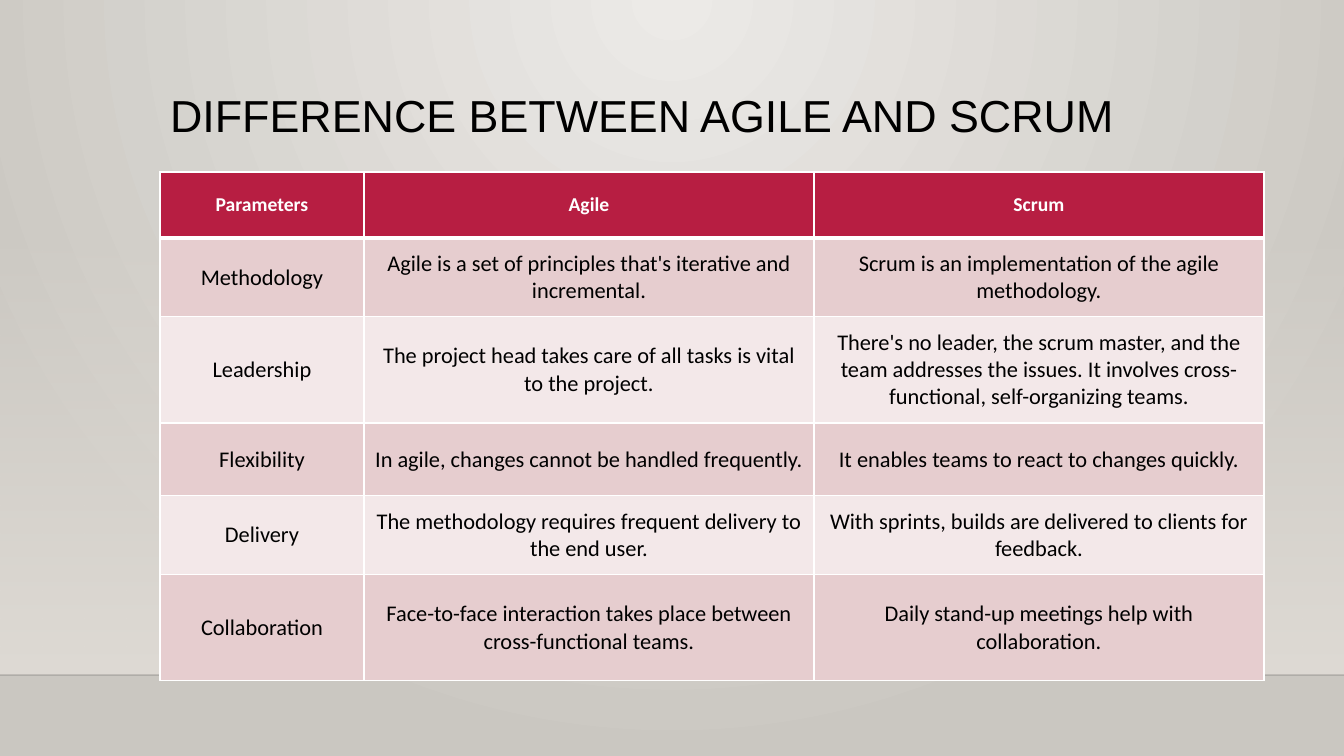
from lxml import etree
from pptx import Presentation
from pptx import util as u
from pptx.dml.color import RGBColor
from pptx.enum import shapes, text
from pptx.oxml import parse_xml
from pptx.oxml.ns import nsdecls, qn

PX = 914400 / 100.8
WIDTH, HEIGHT = 1344, 756
LEFT = 160
HORIZON = 675

COLUMNS = [204, 450, 450]
ROWS = [66, 73, 106, 73, 73, 106]
COMPARISON = [
    ["Parameters", "Agile", "Scrum"],
    ["Methodology",
     "Agile is a set of principles that's iterative and incremental.",
     "Scrum is an implementation of the agile methodology."],
    ["Leadership",
     "The project head takes care of all tasks is vital to the project.",
     "There's no leader, the scrum master, and the team addresses the issues. "
     "It involves cross-functional, self-organizing teams."],
    ["Flexibility",
     "In agile, changes cannot be handled frequently.",
     "It enables teams to react to changes quickly."],
    ["Delivery",
     "The methodology requires frequent delivery to the end user.",
     "With sprints, builds are delivered to clients for feedback."],
    ["Collaboration",
     "Face-to-face interaction takes place between cross-functional teams.",
     "Daily stand-up meetings help with collaboration."],
]


def px(n):
    return u.Emu(round(n * PX))


def rgb(value):
    return RGBColor.from_string(value)


def write(tf, words, font="Calibri", size=16, color="000000", bold=False,
          align=text.PP_ALIGN.LEFT, after=0, spacing=1.0):
    tf.word_wrap = True
    p = tf.paragraphs[0]
    p.alignment, p.space_after, p.line_spacing = align, u.Pt(after), spacing
    r = p.add_run()
    r.text = words
    r.font.name, r.font.size, r.font.bold = font, u.Pt(size), bold
    r.font.color.rgb = rgb(color)


def set_gradient(fill, element, stops, direction):
    """Stops are (position %, colour, opacity %)."""
    fill.gradient()
    old = element.xpath(".//a:gradFill")[0]
    marks = "".join(
        f'<a:gs pos="{pos * 1000}"><a:srgbClr val="{color}">'
        f'<a:alpha val="{opacity * 1000}"/></a:srgbClr></a:gs>'
        for pos, color, opacity in stops)
    new = parse_xml(f'<a:gradFill {nsdecls("a")} rotWithShape="1">'
                    f"<a:gsLst>{marks}</a:gsLst>{direction}</a:gradFill>")
    old.getparent().replace(old, new)


def set_borders(cell, widths):
    tcPr = cell._tc.get_or_add_tcPr()
    for side, width in zip("LRTB", widths):
        tcPr.append(parse_xml(
            f'<a:ln{side} {nsdecls("a")} w="{u.Pt(width)}"><a:solidFill>'
            f'<a:srgbClr val="FFFFFF"/></a:solidFill></a:ln{side}>'))


class Deck:
    accent = "B71E42"
    bands = ["E6CDCF", "F3E8E9"]

    def __init__(self):
        self.prs = Presentation()
        self.prs.slide_width, self.prs.slide_height = px(WIDTH), px(HEIGHT)
        self.s = self.prs.slides.add_slide(self.prs.slide_layouts[5])

    def background(self, inner, outer):
        set_gradient(self.s.background.fill, self.s._element,
                     [(0, inner, 100), (100, outer, 100)],
                     '<a:path path="circle"><a:fillToRect l="43000" t="0" '
                     'r="43000" b="100000"/></a:path>')

    def fade(self, x, y, w, h, color):
        sp = self.s.shapes.add_shape(shapes.MSO_SHAPE.RECTANGLE,
                                     px(x), px(y), px(w), px(h))
        sp.shadow.inherit = False
        sp.line.fill.background()
        set_gradient(sp.fill, sp._element, [(0, color, 0), (100, color, 100)],
                     '<a:lin ang="5400000" scaled="0"/>')

    def rule(self, x1, x2, y, color, width, opacity):
        sp = self.s.shapes.add_connector(shapes.MSO_CONNECTOR.STRAIGHT,
                                         px(x1), px(y), px(x2), px(y))
        sp.line.width = u.Pt(width)
        sp.line.color.rgb = rgb(color)
        clr = sp._element.xpath(".//a:ln//a:srgbClr")[0]
        etree.SubElement(clr, qn("a:alpha")).set("val", str(opacity * 1000))
        etree.SubElement(sp._element.spPr, qn("a:effectLst"))

    def title(self, words, x, y, w, h):
        sp = self.s.shapes.title
        sp.left, sp.top, sp.width, sp.height = px(x), px(y), px(w), px(h)
        tf = sp.text_frame
        tf.auto_size = text.MSO_AUTO_SIZE.NONE
        tf.vertical_anchor = text.MSO_ANCHOR.TOP
        write(tf, words, font="Arial", size=32, spacing=0.9)
        self.s.shapes._spTree.append(sp._element)

    def table(self, data, x, y, columns, rows):
        table = self.s.shapes.add_table(len(rows), len(columns), px(x), px(y),
                                        px(sum(columns)), px(sum(rows))).table
        for column, width in zip(table.columns, columns):
            column.width = px(width)
        for i, (row, height) in enumerate(zip(table.rows, rows)):
            row.height = px(height)
            for j, cell in enumerate(row.cells):
                self.cell(cell, data[i][j], i, j)

    def cell(self, cell, words, i, j):
        header = i == 0
        cell.vertical_anchor = text.MSO_ANCHOR.MIDDLE
        cell.margin_left = cell.margin_right = px(4 if header and j == 0 else 8)
        cell.margin_top = cell.margin_bottom = px(8 if header else 12)
        # The rule below the header is heavier
        set_borders(cell, [1, 1, 3 if i == 1 else 1, 3 if header else 1])
        cell.fill.solid()
        cell.fill.fore_color.rgb = rgb(
            self.accent if header else self.bands[(i - 1) % 2])
        write(cell.text_frame, words, size=14 if header else 16, bold=header,
              color="FFFFFF" if header else "000000",
              align=text.PP_ALIGN.CENTER, after=7.5)


def main():
    deck = Deck()
    # Backdrop: wall, floor and the line between them
    deck.background("ECEAE7", "CAC7C1")
    deck.fade(0, 223, WIDTH, HORIZON - 223, "DFDBD5")
    deck.rule(0, WIDTH, HORIZON, "000001", 1, 20)
    # Title and comparison
    deck.title("DIFFERENCE BETWEEN AGILE AND SCRUM", LEFT, 89, 1058, 116)
    deck.table(COMPARISON, LEFT, 172, COLUMNS, ROWS)
    deck.prs.save("out.pptx")


if __name__ == "__main__":
    main()
